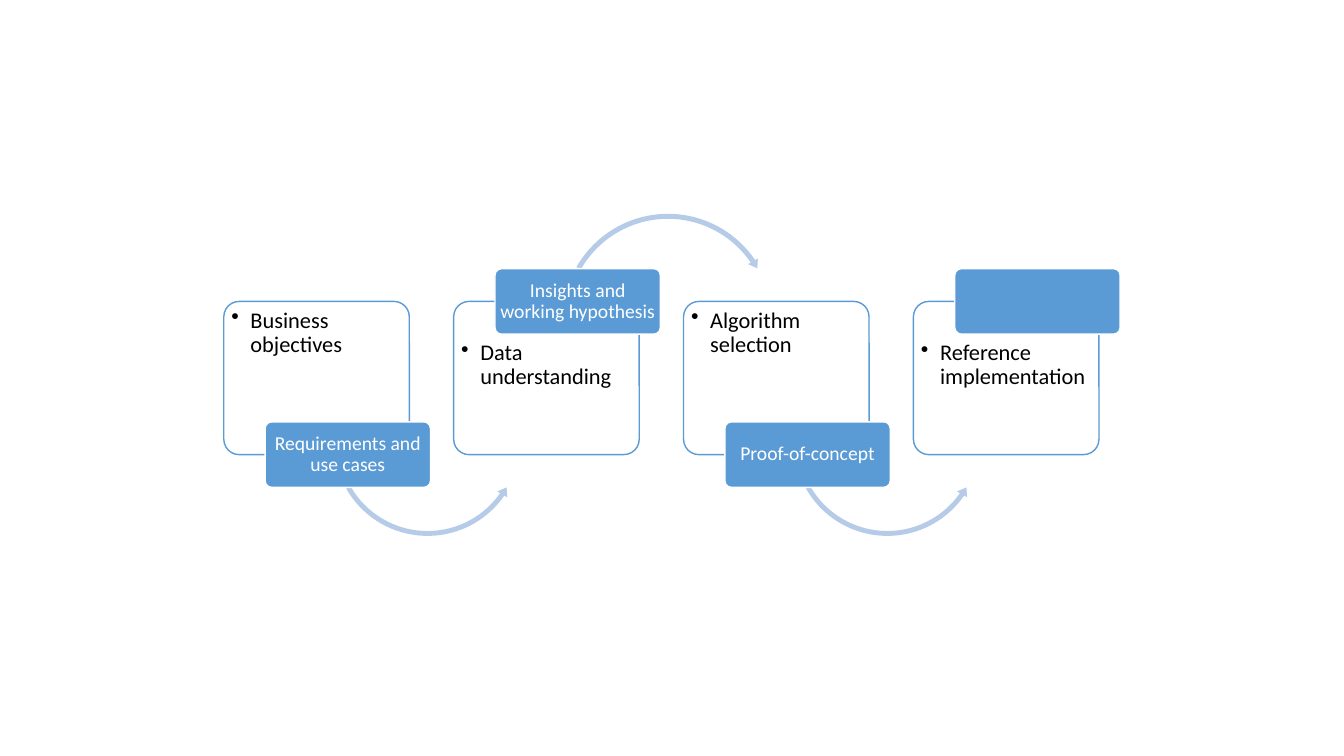
from lxml.etree import SubElement
from pptx import Presentation
from pptx.dml.color import RGBColor
from pptx.enum.shapes import MSO_SHAPE
from pptx.enum.text import MSO_ANCHOR, PP_ALIGN
from pptx.oxml.ns import qn
from pptx.util import Inches, Pt

COLORS = {"blue": "5B9BD5", "pale_blue": "B5CBE7", "white": "FFFFFF", "black": "000000"}

# Objective of each step and the outcome on its tag
STEPS = [
    ("Business objectives", "Requirements and use cases"),
    ("Data understanding", "Insights and working hypothesis"),
    ("Algorithm selection", "Proof-of-concept"),
    ("Reference implementation", ""),
]
FLOW_LEFT, FLOW_TOP, STEP_PITCH = 2.22, 2.99, 2.28
CARD_WIDTH, CARD_HEIGHT = 1.84, 1.52
TAG_WIDTH, TAG_HEIGHT, TAG_SHIFT = 1.64, 0.65, 0.41

# Preset, offset from the card, size and adjustments of the two arcs
LOWER_ARC = (MSO_SHAPE.LEFT_CIRCULAR_ARROW, 1.06, 0.44, 1.92,
             (0.025, 3.094, 20.849, 90.245, 0.03))
UPPER_ARC = (MSO_SHAPE.CIRCULAR_ARROW, 1.05, -0.9, 2.15,
             (0.023, 2.738, 195.507, 125.755, 0.026))


def color(name):
    return RGBColor.from_string(COLORS[name])


def add_filled(slide, preset, box, adjustments, fill, line=None):
    shape = slide.shapes.add_shape(preset, *(Inches(length) for length in box))
    shape.shadow.inherit = False
    for index, value in enumerate(adjustments):
        shape.adjustments[index] = value
    shape.fill.solid()
    shape.fill.fore_color.rgb = color(fill)
    if line:
        shape.line.color.rgb = color(line)
        shape.line.width = Pt(1)
    else:
        shape.line.fill.background()
    return shape


def write(shape, text, size, font_color, align, anchor, side, top, bottom):
    frame = shape.text_frame
    frame.word_wrap = True
    frame.vertical_anchor = anchor
    frame.margin_left = frame.margin_right = Inches(side)
    frame.margin_top, frame.margin_bottom = Inches(top), Inches(bottom)
    paragraph = frame.paragraphs[0]
    paragraph.text = text
    paragraph.alignment = align
    paragraph.line_spacing = 0.9
    paragraph.font.name = "Calibri"
    paragraph.font.size = Pt(size)
    paragraph.font.color.rgb = color(font_color)
    return paragraph


def add_bullet(paragraph):
    properties = paragraph._p.get_or_add_pPr()
    properties.set("marL", str(Inches(0.19)))
    properties.set("indent", str(-Inches(0.19)))
    bullet = properties.makeelement(qn("a:buChar"), {"char": "•"})
    properties.find(qn("a:defRPr")).addprevious(bullet)


def add_step(slide, left, top, objective, outcome, tag_above, has_arc):
    # Card with its objective
    card = add_filled(slide, MSO_SHAPE.ROUNDED_RECTANGLE,
                      (left, top, CARD_WIDTH, CARD_HEIGHT), [0.1], "white", "blue")
    card_fill = card.fill._xPr.find(qn("a:solidFill"))[0]
    SubElement(card_fill, qn("a:alpha"), val="90000")
    add_bullet(write(card, objective, 16, "black", PP_ALIGN.LEFT, MSO_ANCHOR.TOP,
                     0.03, 0.35 if tag_above else 0.03, 0.03))

    # Arc towards the next step
    if has_arc:
        preset, shift_x, shift_y, size, adjustments = UPPER_ARC if tag_above else LOWER_ARC
        add_filled(slide, preset, (left + shift_x, top + shift_y, size, size),
                   adjustments, "pale_blue")

    # Tag centred on the upper or lower edge of the card
    edge = top if tag_above else top + CARD_HEIGHT
    tag = add_filled(slide, MSO_SHAPE.ROUNDED_RECTANGLE,
                     (left + TAG_SHIFT, edge - TAG_HEIGHT / 2, TAG_WIDTH, TAG_HEIGHT),
                     [0.1], "blue", "white")
    if outcome:
        write(tag, outcome, 14, "white", PP_ALIGN.CENTER, MSO_ANCHOR.MIDDLE,
              0.02, 0.02, 0.02)


def add_flow(slide, left, top):
    for index, (objective, outcome) in enumerate(STEPS):
        add_step(slide, left + index * STEP_PITCH, top, objective, outcome,
                 tag_above=index % 2 == 1, has_arc=index < len(STEPS) - 1)


def main():
    presentation = Presentation()
    presentation.slide_width, presentation.slide_height = Inches(13.33), Inches(7.5)
    slide = presentation.slides.add_slide(presentation.slide_layouts[6])
    add_flow(slide, FLOW_LEFT, FLOW_TOP)
    presentation.save("out.pptx")


if __name__ == "__main__":
    main()
